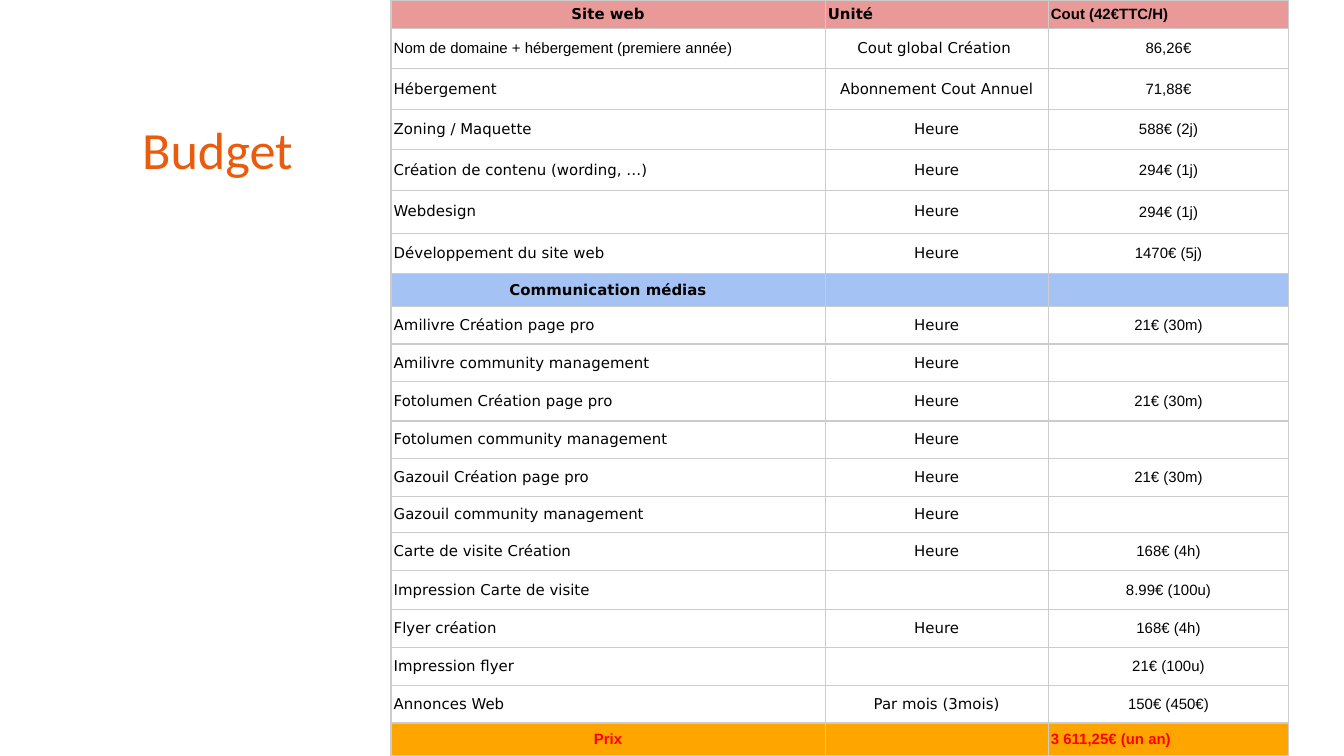
from lxml import etree
from pptx import Presentation
from pptx.dml.color import RGBColor
from pptx.enum.text import MSO_ANCHOR, PP_ALIGN
from pptx.oxml.ns import qn
from pptx.util import Inches, Pt

LEFT, CENTER = PP_ALIGN.LEFT, PP_ALIGN.CENTER
MIDDLE = MSO_ANCHOR.MIDDLE
SANS, ARIAL = "DejaVu Sans", "Arial"
COLORS = {
    "title": "EA5B0C", "text": "000000", "total": "FF0000", "line": "CCCCCC",
    "plain": "FFFFFF", "web": "EA9999", "media": "A4C2F4", "price": "FFA500",
}

WIDE = 10
HIGH = WIDE * 9 / 16
WIDTHS = [3.23, 1.66, 1.79]
# Kind of row, relative height, then the three cells
ROWS = [
    ("web", 0.21, "Site web", "Unité", "Cout (42€TTC/H)"),
    ("plain", 0.3, "Nom de domaine + hébergement (premiere année)",
     "Cout global Création ", "86,26€"),
    ("plain", 0.3, "Hébergement", "Abonnement Cout Annuel", "71,88€"),
    ("plain", 0.3, "Zoning / Maquette", "Heure", "588€ (2j)"),
    ("plain", 0.3, "Création de contenu (wording, …)", "Heure", "294€ (1j)"),
    ("plain", 0.32, "Webdesign", "Heure", "294€ (1j)"),
    ("plain", 0.3, "Développement du site web", "Heure", "1470€ (5j)"),
    ("media", 0.24, "Communication médias", "", ""),
    ("plain", 0.28, "Amilivre Création page pro", "Heure", "21€ (30m)"),
    ("plain", 0.28, "Amilivre community management", "Heure", ""),
    ("plain", 0.29, "Fotolumen Création page pro", "Heure", "21€ (30m)"),
    ("plain", 0.28, "Fotolumen community management", "Heure", ""),
    ("plain", 0.28, "Gazouil Création page pro", "Heure", "21€ (30m)"),
    ("plain", 0.27, "Gazouil community management", "Heure", ""),
    ("plain", 0.28, "Carte de visite Création", "Heure", "168€ (4h)"),
    ("plain", 0.29, "Impression Carte de visite", "", "8.99€ (100u)"),
    ("plain", 0.28, "Flyer création", "Heure", "168€ (4h)"),
    ("plain", 0.28, "Impression flyer", "", "21€ (100u)"),
    ("plain", 0.28, "Annonces Web", "Par mois (3mois)", "150€ (450€)"),
    ("price", 0.24, "Prix", "", "3 611,25€ (un an)"),
]
ARIAL_CELLS = {(1, 0), (len(ROWS) - 1, 0)}


def rgb(name):
    return RGBColor.from_string(COLORS[name])


def add_border(cell):
    props = cell._tc.get_or_add_tcPr()
    for side in ("a:lnL", "a:lnR", "a:lnT", "a:lnB"):
        line = etree.SubElement(props, qn(side), w=str(Pt(0.75)))
        fill = etree.SubElement(line, qn("a:solidFill"))
        etree.SubElement(fill, qn("a:srgbClr"), val=COLORS["line"])


def fill_cell(cell, text, kind, font, align):
    cell.margin_left = cell.margin_right = Inches(0.02)
    cell.margin_top = cell.margin_bottom = 0
    cell.vertical_anchor = MIDDLE
    add_border(cell)
    cell.fill.solid()
    cell.fill.fore_color.rgb = rgb(kind)
    par = cell.text_frame.paragraphs[0]
    par.alignment = align
    if not text:
        # Keeps an empty cell from stretching its row
        etree.SubElement(par._p, qn("a:endParaRPr"), sz="800")
        return
    par.text = text
    style = par.runs[0].font
    style.name, style.size = font, Pt(8)
    style.bold = kind != "plain"
    style.color.rgb = rgb("total" if kind == "price" else "text")


def add_budget(slide):
    frame = slide.shapes.add_table(
        len(ROWS), len(WIDTHS), Inches(2.91), 0,
        Inches(sum(WIDTHS)), Inches(HIGH))
    table = frame.table
    table.first_row = table.horz_banding = False
    for col, width in enumerate(WIDTHS):
        table.columns[col].width = Inches(width)
    # The rows together fill the height of the slide
    scale = HIGH / sum(row[1] for row in ROWS)
    for r, (kind, height, *texts) in enumerate(ROWS):
        table.rows[r].height = Inches(height * scale)
        for c, text in enumerate(texts):
            font = ARIAL if c == 2 or (r, c) in ARIAL_CELLS else SANS
            # Band rows centre the first column, plain rows the others
            align = CENTER if (c == 0) == (kind != "plain") else LEFT
            fill_cell(table.cell(r, c), text, kind, font, align)


def add_title(slide):
    box = slide.shapes.add_textbox(
        Inches(0.96), Inches(0.82), Inches(1.54), Inches(0.57))
    box.text_frame.text = "Budget"
    style = box.text_frame.paragraphs[0].runs[0].font
    style.name, style.size = "Calibri", Pt(28)
    style.color.rgb = rgb("title")


def main():
    deck = Presentation()
    deck.slide_width, deck.slide_height = Inches(WIDE), Inches(HIGH)
    slide = deck.slides.add_slide(deck.slide_layouts[6])
    add_budget(slide)
    add_title(slide)
    deck.save("out.pptx")


if __name__ == "__main__":
    main()
